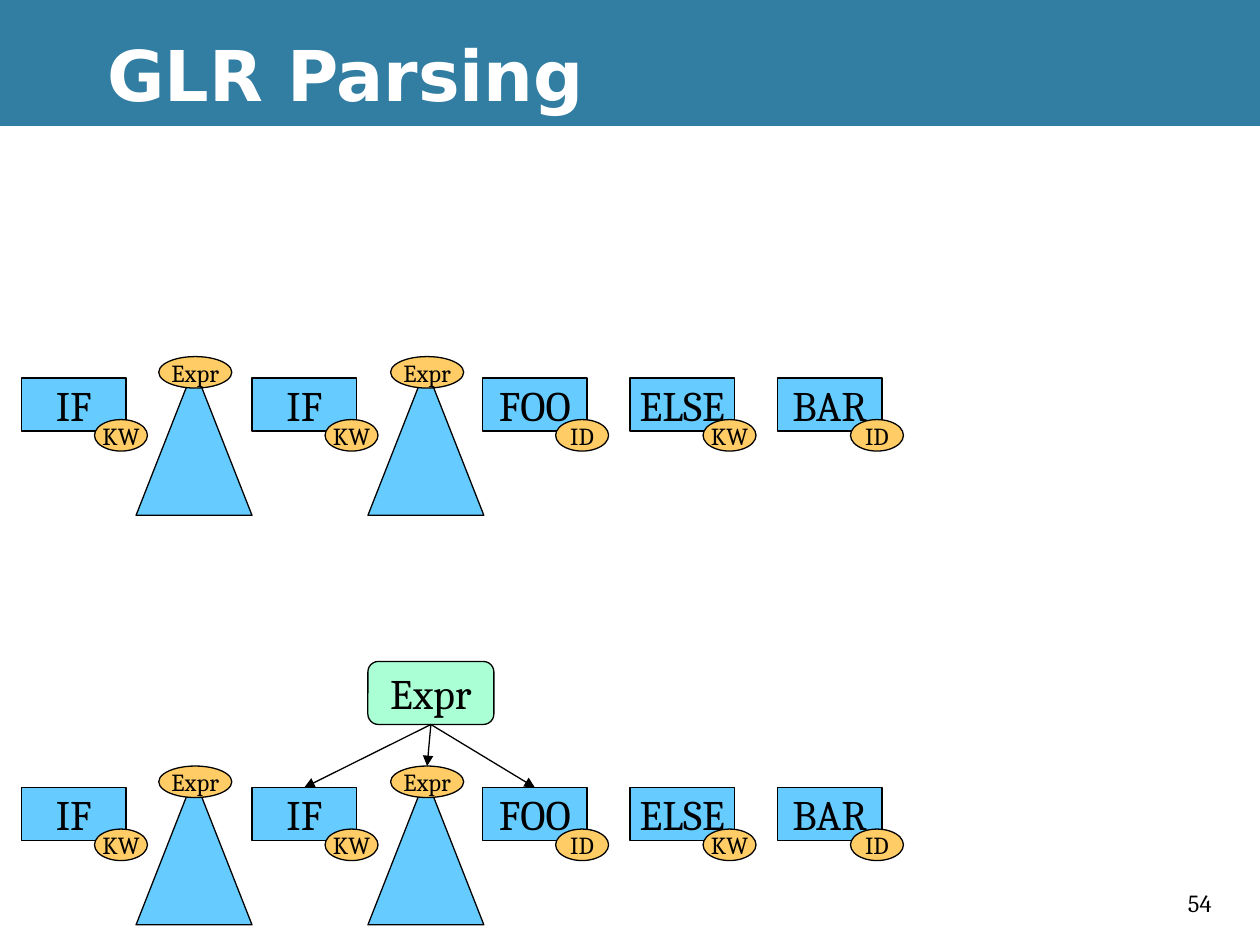
from dataclasses import dataclass

from lxml import etree
from pptx import Presentation
from pptx.dml.color import RGBColor
from pptx.enum import shapes, text
from pptx.oxml.ns import qn
from pptx.util import Inches, Pt

BLACK = RGBColor(0x00, 0x00, 0x00)
WHITE = RGBColor(0xFF, 0xFF, 0xFF)
BANNER_BLUE = RGBColor(0x32, 0x7E, 0xA3)
TOKEN_BLUE = RGBColor(0x66, 0xCC, 0xFF)
TAG_ORANGE = RGBColor(0xFF, 0xCC, 0x66)
NODE_GREEN = RGBColor(0xAA, 0xFF, 0xD4)

BODY_FONT = "Cambria"
TITLE_FONT = "DejaVu Sans"
SHAPE = shapes.MSO_SHAPE


@dataclass(frozen=True)
class Token:
    left: float
    word: str
    tag: str


@dataclass(frozen=True)
class Subtree:
    left: float
    tag: str


STACK = (
    Token(0.17, "IF", "KW"),
    Subtree(1.08, "Expr"),
    Token(2, "IF", "KW"),
    Subtree(2.92, "Expr"),
    Token(3.83, "FOO", "ID"),
    Token(5, "ELSE", "KW"),
    Token(6.17, "BAR", "ID"),
)
ROW_TOPS = (3, 6.25)
REDUCED = slice(2, 5)  # the inner IF, its condition and FOO


def add_node(parent, kind, box: tuple, fill: RGBColor, label: str = "", size: int = 24):
    """Add an outlined shape with a centred label; box is in inches."""
    node = parent.add_shape(kind, *map(Inches, box))
    node.shadow.inherit = False
    node.fill.solid()
    node.fill.fore_color.rgb = fill
    node.line.color.rgb = BLACK
    node.line.width = Pt(0.75)
    if label:
        frame = node.text_frame
        frame.word_wrap = False
        frame.vertical_anchor = text.MSO_ANCHOR.MIDDLE
        paragraph = frame.paragraphs[0]
        paragraph.text = label
        paragraph.alignment = text.PP_ALIGN.CENTER
        set_font(paragraph, BODY_FONT, size, BLACK)
    return node


def set_font(paragraph, name: str, size: int, color: RGBColor) -> None:
    paragraph.font.name = name
    paragraph.font.size = Pt(size)
    paragraph.font.color.rgb = color


def add_token(slide, token: Token, top: float):
    """Add a word with its tag and return the word's rectangle."""
    group = slide.shapes.add_group_shape().shapes
    word = add_node(group, SHAPE.RECTANGLE, (token.left, top, 0.83, 0.42),
                    TOKEN_BLUE, token.word)
    add_node(group, SHAPE.OVAL, (token.left + 0.58, top + 0.33, 0.42, 0.25),
             TAG_ORANGE, token.tag, 14)
    return word


def add_subtree(slide, subtree: Subtree, top: float):
    """Add a parsed triangle with its tag and return the tag's ellipse."""
    group = slide.shapes.add_group_shape().shapes
    add_node(group, SHAPE.ISOSCELES_TRIANGLE,
             (subtree.left, top - 0.08, 0.92, 1.17), TOKEN_BLUE)
    return add_node(group, SHAPE.OVAL,
                    (subtree.left + 0.18, top - 0.17, 0.58, 0.25),
                    TAG_ORANGE, subtree.tag, 14)


def add_stack(slide, top: float) -> list:
    return [add_token(slide, item, top) if isinstance(item, Token)
            else add_subtree(slide, item, top) for item in STACK]


def add_arrow(slide, parent, child) -> None:
    """Join the parent's bottom to the child's top."""
    arrow = slide.shapes.add_connector(shapes.MSO_CONNECTOR.STRAIGHT, 0, 0, 0, 0)
    arrow.begin_connect(parent, 2)
    arrow.end_connect(child, 0)
    arrow.line.color.rgb = BLACK
    arrow.line.width = Pt(0.75)
    etree.SubElement(arrow.line._get_or_add_ln(), qn("a:tailEnd"), type="triangle")
    etree.SubElement(arrow._element.spPr, qn("a:effectLst"))


def add_header(slide) -> None:
    banner = slide.shapes.add_shape(SHAPE.RECTANGLE, 0, 0, Inches(10), Inches(1))
    banner.shadow.inherit = False
    banner.fill.solid()
    banner.fill.fore_color.rgb = BANNER_BLUE
    banner.line.fill.background()

    title = slide.shapes.title
    banner._element.getparent().insert(2, banner._element)  # behind the title
    title.left, title.top = Inches(0.75), Inches(0.08)
    title.width, title.height = Inches(9.25), Inches(1)
    title.text_frame.vertical_anchor = text.MSO_ANCHOR.MIDDLE
    heading = title.text_frame.paragraphs[0]
    heading.text = "GLR Parsing"
    heading.alignment = text.PP_ALIGN.LEFT
    heading.font.bold = True
    set_font(heading, TITLE_FONT, 40, WHITE)


def add_page_number(slide) -> None:
    box = slide.shapes.add_textbox(Inches(9.33), Inches(7), Inches(0.5), Inches(0.33))
    box.text_frame.word_wrap = True
    number = box.text_frame.paragraphs[0]
    number.text = "54"
    set_font(number, BODY_FONT, 14, BLACK)


def main() -> None:
    deck = Presentation()
    deck.slide_width, deck.slide_height = Inches(10), Inches(7.5)
    slide = deck.slides.add_slide(deck.slide_layouts[5])
    slide.background.fill.solid()
    slide.background.fill.fore_color.rgb = WHITE

    add_header(slide)
    add_page_number(slide)
    before, after = (add_stack(slide, top) for top in ROW_TOPS)
    expression = add_node(slide.shapes, SHAPE.ROUNDED_RECTANGLE,
                          (2.92, 5.25, 1, 0.5), NODE_GREEN, "Expr")
    for child in after[REDUCED]:
        add_arrow(slide, expression, child)
    deck.save("out.pptx")


if __name__ == "__main__":
    main()
